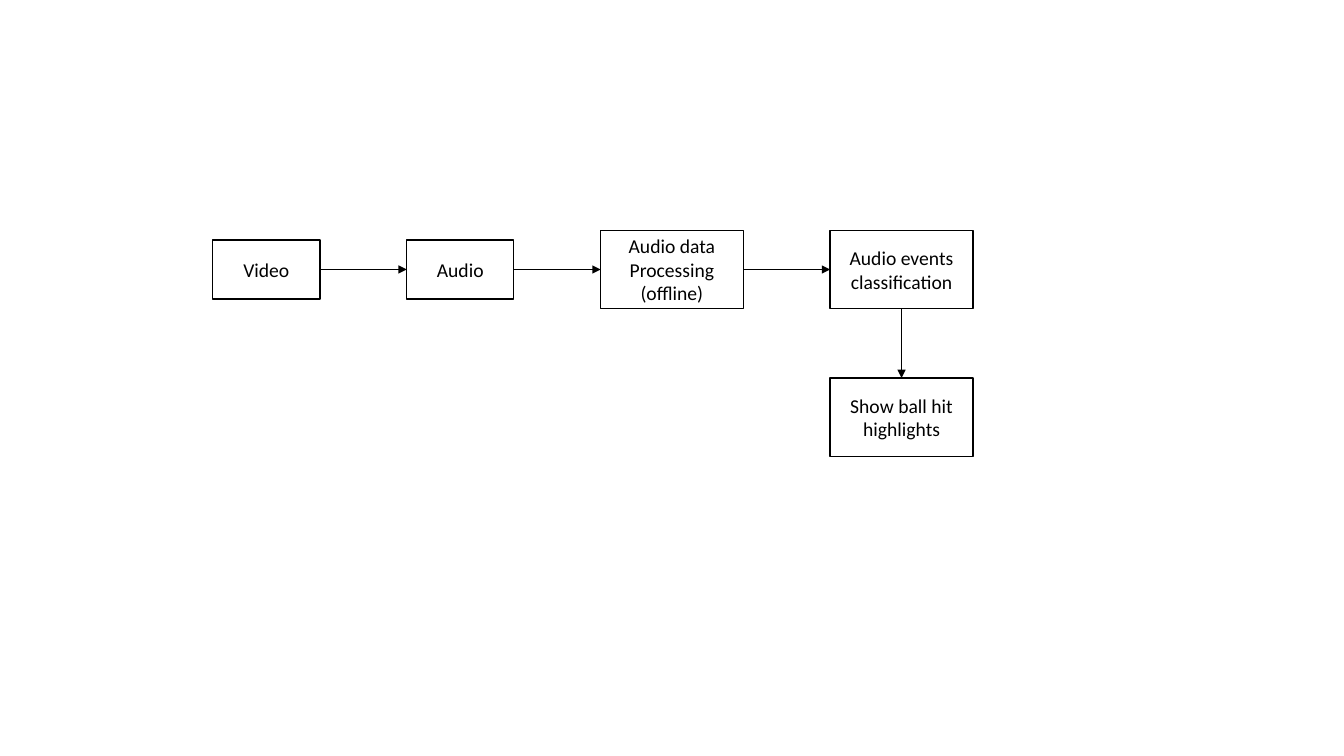
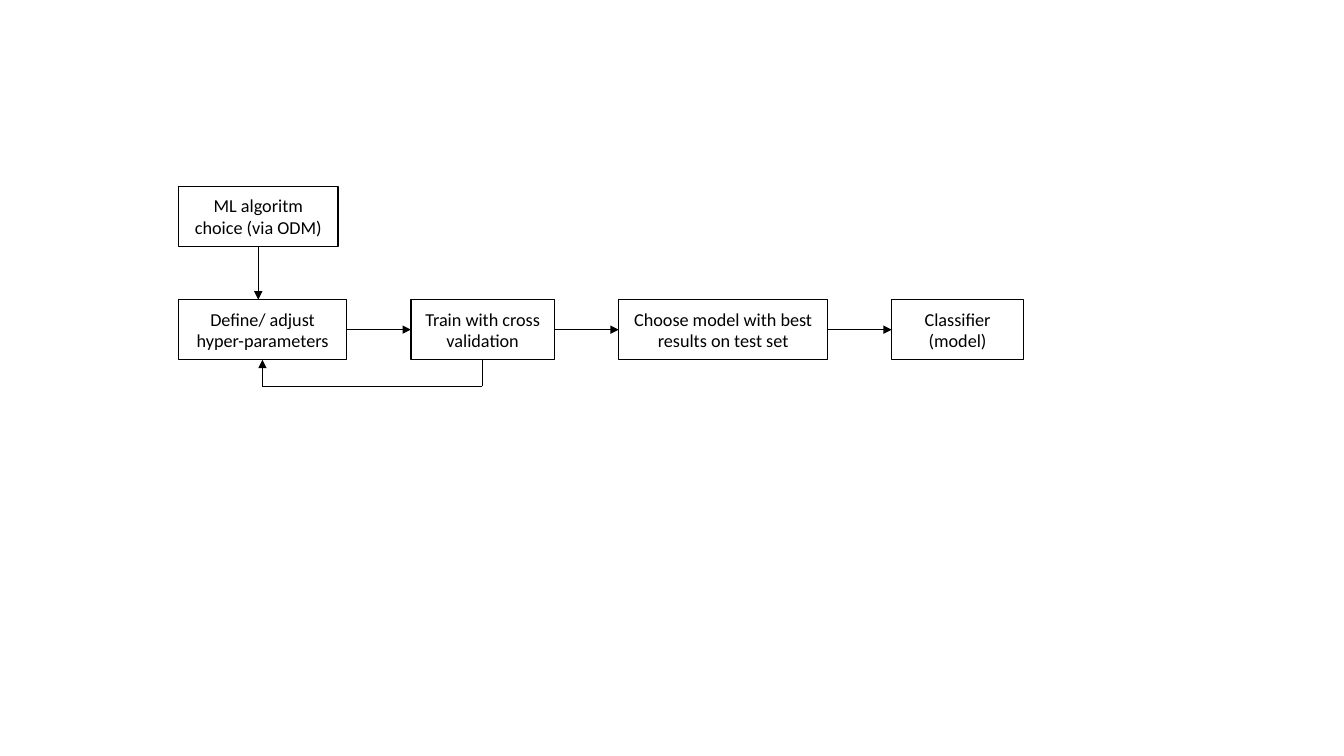
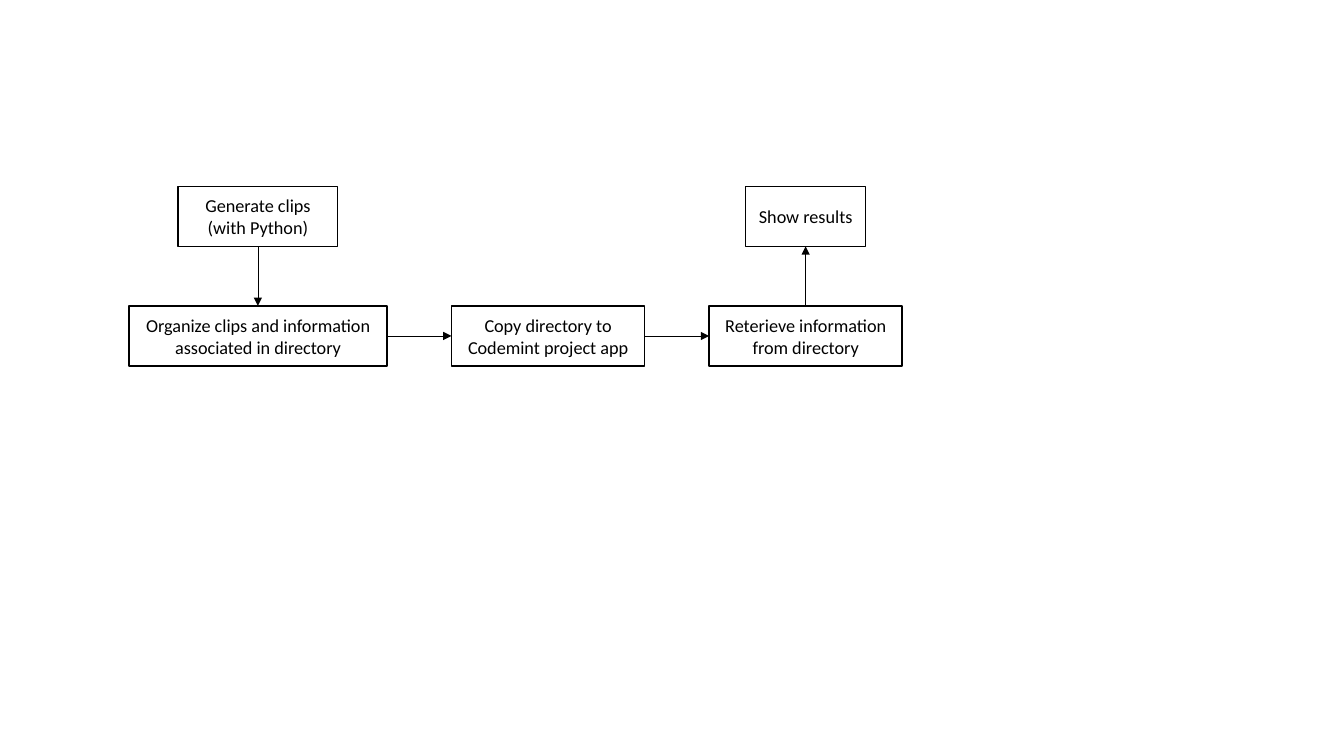
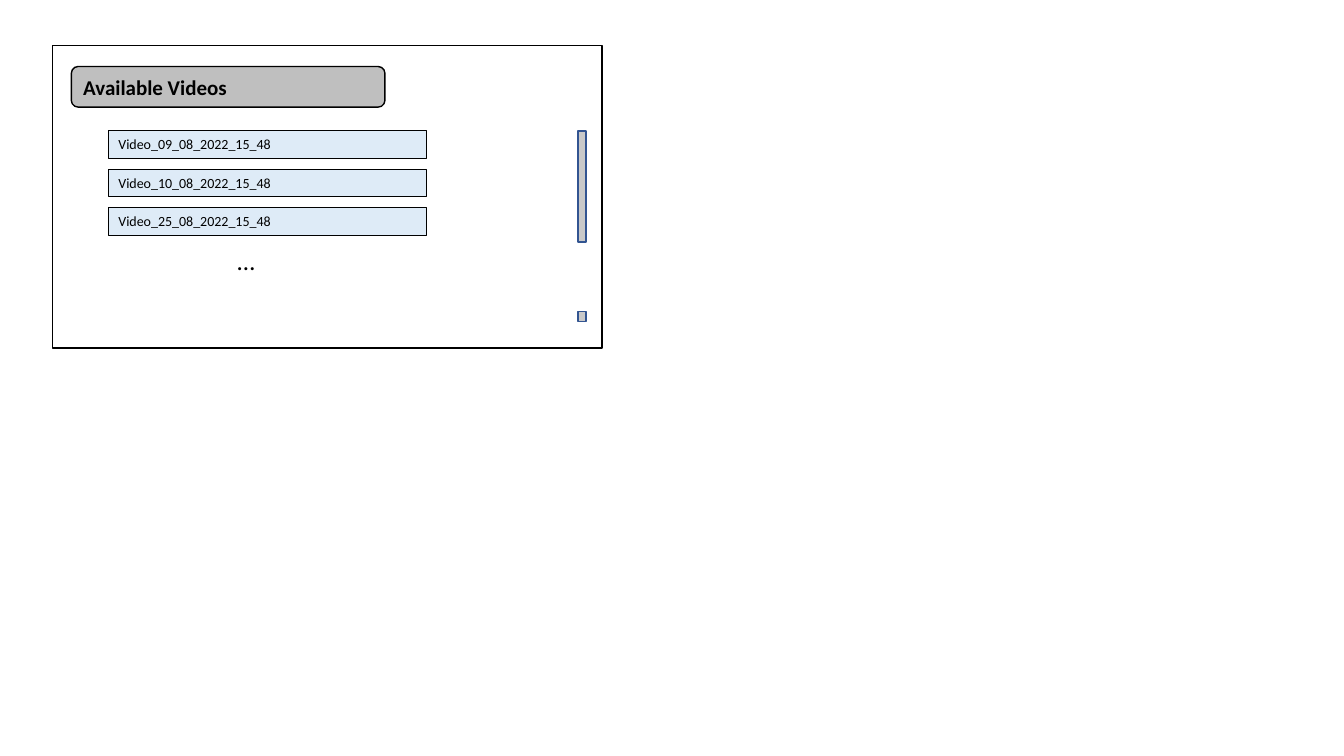
from itertools import pairwise

from lxml import etree
from pptx import Presentation
from pptx.dml.color import RGBColor
from pptx.enum.shapes import MSO_CONNECTOR, MSO_SHAPE
from pptx.enum.text import MSO_ANCHOR, PP_ALIGN
from pptx.oxml.ns import qn
from pptx.util import Pt

RECTANGLE, ROUNDED = MSO_SHAPE.RECTANGLE, MSO_SHAPE.ROUNDED_RECTANGLE
STRAIGHT = MSO_CONNECTOR.STRAIGHT
TOP, MIDDLE = MSO_ANCHOR.TOP, MSO_ANCHOR.MIDDLE
LEFT, CENTER = PP_ALIGN.LEFT, PP_ALIGN.CENTER

# Connection sites of a rectangle
SITE_TOP, SITE_LEFT, SITE_BOTTOM, SITE_RIGHT = range(4)

COLORS = {
    "ink": "000000",
    "paper": "FFFFFF",
    "heading": "BFBFBF",
    "entry": "DEEBF7",
    "scroll": "C9C9C9",
    "scroll_edge": "325491",
}


def color(name):
    return RGBColor.from_string(COLORS[name])


class Sketch:
    """Holds the deck, its style and the current page."""

    font_name = "Calibri"
    arrow_width = 0.5

    def __init__(self):
        self.deck = Presentation()
        self.deck.slide_width, self.deck.slide_height = Pt(960), Pt(540)
        self.page = None
        self.text_size = 13

    def new_page(self, text_size):
        self.page = self.deck.slides.add_slide(self.deck.slide_layouts[6])
        self.text_size = text_size

    def set_text(self, shape, text, align=CENTER, anchor=MIDDLE, **font):
        """Fill a shape with text, one paragraph per line."""
        frame = shape.text_frame
        frame.word_wrap, frame.vertical_anchor = True, anchor
        style = {"name": self.font_name, "size": Pt(self.text_size)} | font
        for index, line in enumerate(text.split("\n")):
            para = frame.add_paragraph() if index else frame.paragraphs[0]
            para.alignment = align
            span = para.add_run()
            span.text = line
            for key, value in style.items():
                setattr(span.font, key, value)
            span.font.color.rgb = color("ink")

    def box(self, left, top, width, height, text="", fill="paper",
            edge="ink", edge_width=1, kind=RECTANGLE, **style):
        shape = self.page.shapes.add_shape(
            kind, Pt(left), Pt(top), Pt(width), Pt(height))
        shape.shadow.inherit = False
        shape.fill.solid()
        shape.fill.fore_color.rgb = color(fill)
        shape.line.color.rgb = color(edge)
        shape.line.width = Pt(edge_width)
        if text:
            self.set_text(shape, text, **style)
        return shape

    def label(self, left, top, width, height, text, **style):
        shape = self.page.shapes.add_textbox(
            Pt(left), Pt(top), Pt(width), Pt(height))
        self.set_text(shape, text, **style)

    def line(self, start=(0, 0), end=(0, 0), arrow=True):
        connector = self.page.shapes.add_connector(
            STRAIGHT, *map(Pt, (*start, *end)))
        connector.line.color.rgb = color("ink")
        connector.line.width = Pt(self.arrow_width)
        properties = connector._element.spPr
        etree.SubElement(properties, qn("a:effectLst"))
        if arrow:
            etree.SubElement(properties.find(qn("a:ln")), qn("a:tailEnd"),
                             type="triangle")
        return connector

    def link(self, source, source_site, target, target_site):
        """Glue an arrow between the sites of two boxes."""
        connector = self.line()
        connector.begin_connect(source, source_site)
        connector.end_connect(target, target_site)

    def route(self, *points):
        """Draw a line through the points, with an arrowhead at the last."""
        for start, end in pairwise(points):
            self.line(start, end, arrow=end == points[-1])

    def flow(self, left, middle, gap, steps):
        """Lay out (text, width, height) steps in a row joined by arrows."""
        boxes = []
        for text, width, height in steps:
            boxes.append(self.box(left, middle - height / 2, width, height, text))
            left += width + gap
        for source, target in pairwise(boxes):
            self.link(source, SITE_RIGHT, target, SITE_LEFT)
        return boxes


def overview(sketch):
    sketch.new_page(text_size=14)
    row = sketch.flow(152, 192.5, 62, [
        ("Video", 76.5, 42),
        ("Audio", 76.5, 42),
        ("Audio data Processing\n(offline)", 102, 56),
        ("Audio events classification", 102, 56),
    ])
    result = sketch.box(593, 270, 102, 56, "Show ball hit highlights")
    sketch.link(row[-1], SITE_BOTTOM, result, SITE_TOP)


def training(sketch):
    sketch.new_page(text_size=13)
    height, middle = 43, 235.5
    top, bottom = middle - height / 2, middle + height / 2
    sketch.box(127.5, 133, 114, height, "ML algoritm choice (via ODM)")
    sketch.flow(127.5, middle, 46, [
        ("Define/ adjust hyper-parameters", 120, height),
        ("Train with cross validation", 102.5, height),
        ("Choose model with best results on test set", 149, height),
        ("Classifier (model)", 94, height),
    ])
    sketch.route((184.5, 133 + height), (184.5, top))

    # Feedback from training to the parameters
    define_x, train_x, loop_y = 187.5, 344.5, 276
    sketch.route((train_x, bottom), (train_x, loop_y),
                 (define_x, loop_y), (define_x, bottom))


def clips(sketch):
    sketch.new_page(text_size=13)
    height = 43
    organize, _, retrieve = sketch.flow(92, 240, 46, [
        ("Organize clips and information associated in directory", 184.5, height),
        ("Copy directory to Codemint project app", 138, height),
        ("Reterieve information from directory", 138, height),
    ])
    generate = sketch.box(127.25, 133, 114, height, "Generate clips\n(with Python)")
    results = sketch.box(532.5, 133, 86, height, "Show results")
    sketch.link(generate, SITE_BOTTOM, organize, SITE_TOP)
    sketch.link(retrieve, SITE_TOP, results, SITE_BOTTOM)


def video_list(sketch):
    sketch.new_page(text_size=10)
    # Window and heading
    sketch.box(37.5, 32.5, 392.5, 216)
    sketch.box(51, 47.5, 224, 29, "Available Videos", fill="heading",
               kind=ROUNDED, align=LEFT, size=Pt(15), bold=True)

    # Entries
    for index, day in enumerate(("09", "10", "25")):
        sketch.box(77.5, 93.5 + 27.5 * index, 227.5, 19.5,
                   f"Video_{day}_08_2022_15_48", fill="entry",
                   edge_width=0.75, align=LEFT, anchor=TOP)
    sketch.label(162.5, 172, 25, 29, "…", align=LEFT, anchor=TOP, size=Pt(18))

    # Scroll bar
    for top, height in ((93.5, 79.5), (222.5, 7)):
        sketch.box(413, top, 5.5, height, fill="scroll", edge="scroll_edge")


def main():
    sketch = Sketch()
    for build in (overview, training, clips, video_list):
        build(sketch)
    sketch.deck.save("out.pptx")


if __name__ == "__main__":
    main()
